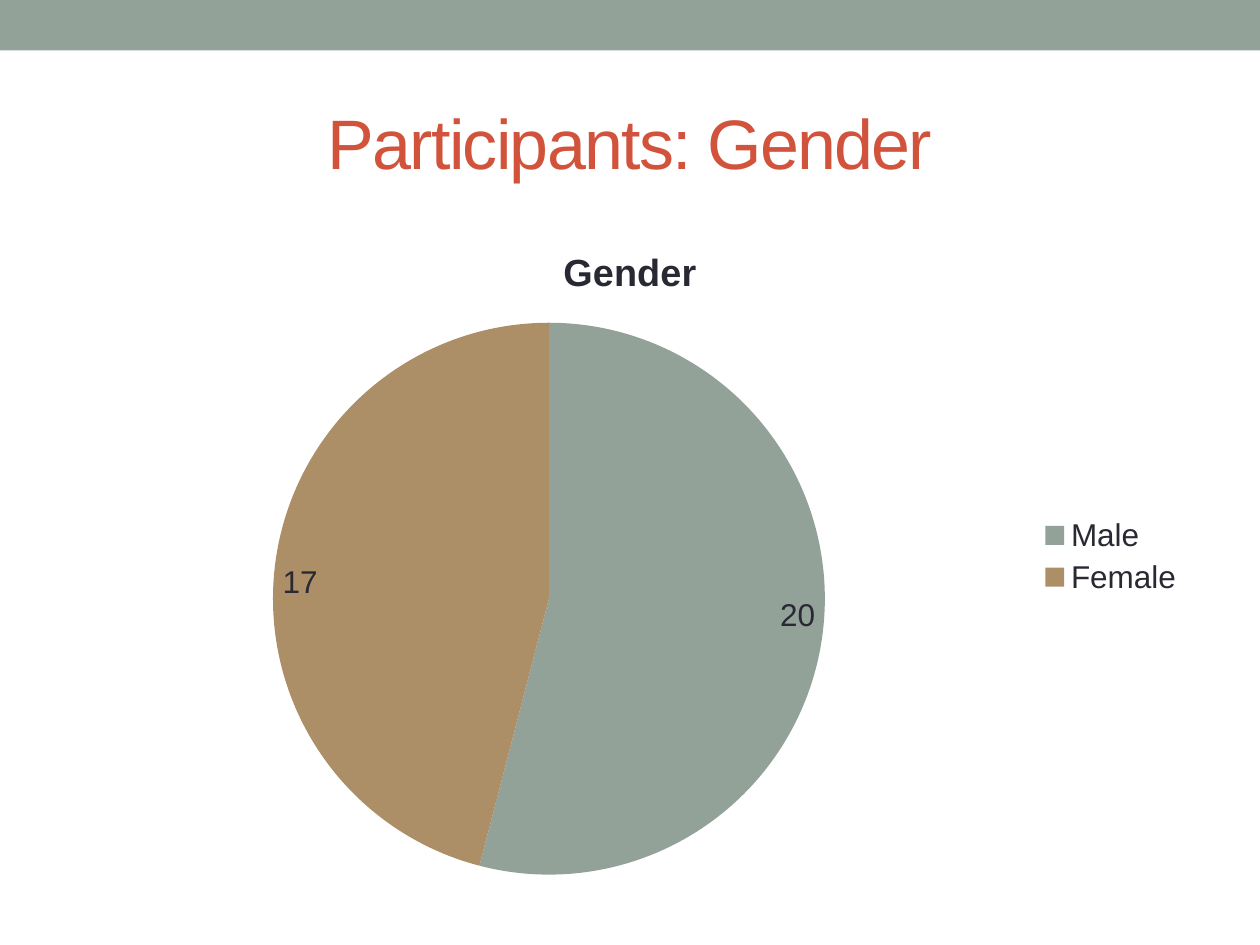
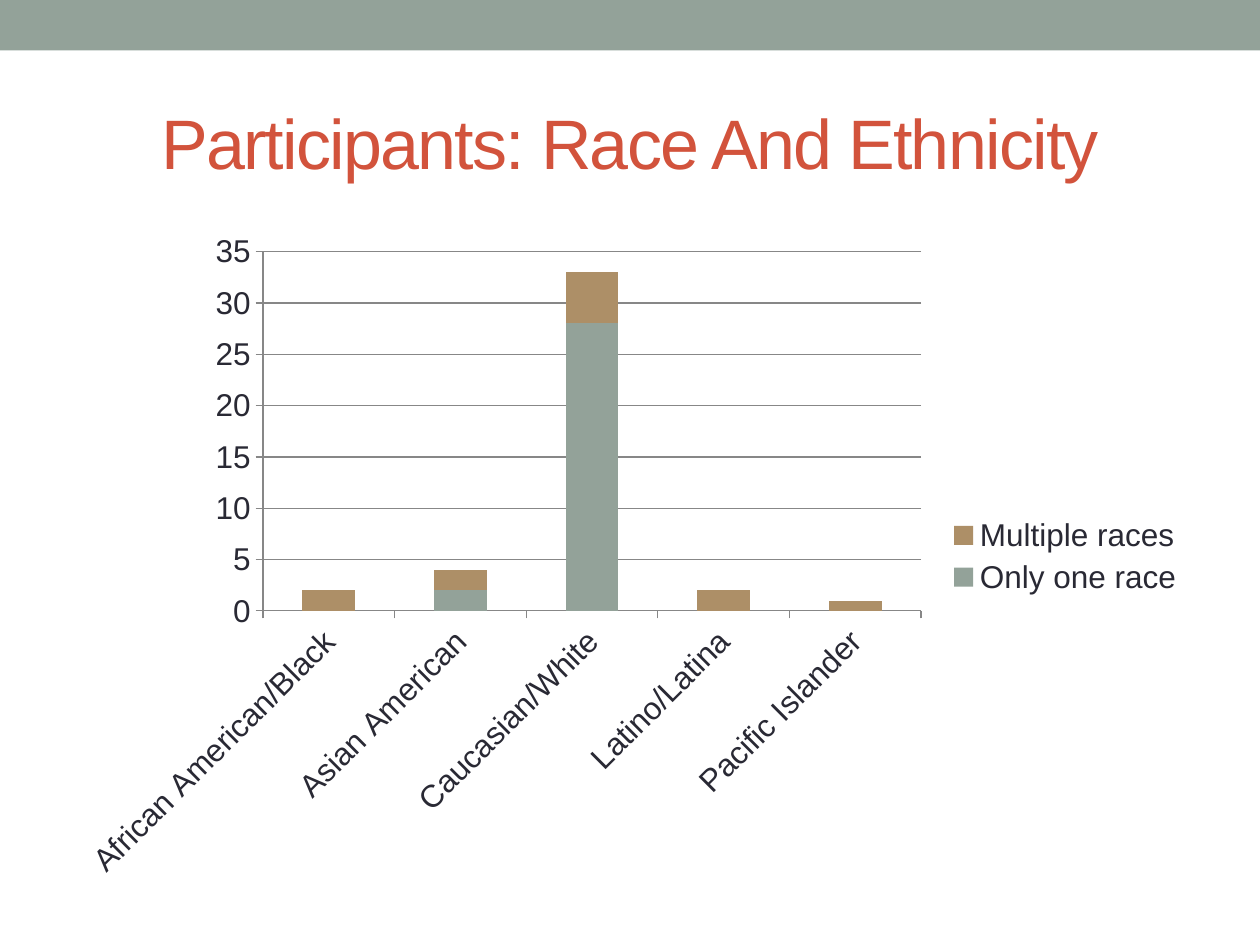
from dataclasses import dataclass

from pptx import Presentation
from pptx import util as u
from pptx.chart import data as chart_data
from pptx.chart.chart import Chart
from pptx.dml.color import RGBColor
from pptx.enum import chart as chart_enum
from pptx.enum import shapes, text
from pptx.slide import Slide

SAGE = "93A299"
TAN = "AD8F67"
RUST = "D2533C"
INK = "292934"
GRID = "878787"
FONT = "Arial"
MARGIN = 0.5
CONTENT_WIDTH = 9


@dataclass(frozen=True)
class Series:
    name: str
    values: tuple[int, ...]


@dataclass(frozen=True)
class ParticipantChart:
    heading: str
    kind: chart_enum.XL_CHART_TYPE
    categories: tuple[str, ...]
    series: tuple[Series, ...]


GENDER = ParticipantChart(
    "Participants: Gender",
    chart_enum.XL_CHART_TYPE.PIE,
    ("Male", "Female"),
    (Series("Gender", (20, 17)),),
)
ETHNICITY = ParticipantChart(
    "Participants: Race And Ethnicity",
    chart_enum.XL_CHART_TYPE.COLUMN_STACKED,
    ("African American/Black", "Asian American", "Caucasian/White",
     "Latino/Latina", "Pacific Islander"),
    (Series("Only one race", (0, 2, 28, 0, 0)),
     Series("Multiple races", (2, 2, 5, 2, 1))),
)


def rgb(value: str) -> RGBColor:
    return RGBColor.from_string(value)


def paint(element, color: str) -> None:
    element.format.fill.solid()
    element.format.fill.fore_color.rgb = rgb(color)


def style_font(font, size: float, color: str, bold: bool = False) -> None:
    font.name = FONT
    font.size = u.Pt(size)
    font.bold = bold
    font.color.rgb = rgb(color)


def add_band(slide: Slide) -> None:
    band = slide.shapes.add_shape(
        shapes.MSO_SHAPE.RECTANGLE, 0, 0, u.Inches(10), u.Inches(0.4))
    band.shadow.inherit = False
    band.fill.solid()
    band.fill.fore_color.rgb = rgb(SAGE)
    band.line.fill.background()


def add_heading(slide: Slide, wording: str) -> None:
    heading = slide.shapes.add_textbox(
        u.Inches(MARGIN), u.Inches(0.58), u.Inches(CONTENT_WIDTH), u.Inches(1.08))
    frame = heading.text_frame
    frame.word_wrap = True
    frame.vertical_anchor = text.MSO_ANCHOR.MIDDLE
    frame.text = wording
    line = frame.paragraphs[0]
    line.alignment = text.PP_ALIGN.CENTER
    style_font(line.runs[0].font, 40, RUST)
    line.runs[0].font._element.set("spc", "-100")


def add_participant_chart(slide: Slide, content: ParticipantChart) -> Chart:
    data = chart_data.CategoryChartData()
    data.categories = content.categories
    for series in content.series:
        data.add_series(series.name, series.values)
    chart = slide.shapes.add_chart(
        content.kind, u.Inches(MARGIN), u.Inches(1.75),
        u.Inches(CONTENT_WIDTH), u.Inches(5.33), data).chart
    style_font(chart.font, 18, INK)
    chart.has_title = False
    chart.has_legend = True
    chart.legend.position = chart_enum.XL_LEGEND_POSITION.RIGHT
    chart.legend.include_in_layout = False
    return chart


def add_chart_slide(deck, content: ParticipantChart) -> Chart:
    slide = deck.slides.add_slide(deck.slide_layouts[6])
    add_band(slide)
    add_heading(slide, content.heading)
    return add_participant_chart(slide, content)


def style_gender(chart: Chart) -> None:
    chart.has_title = True
    caption = chart.chart_title.text_frame
    caption.text = "Gender"
    style_font(caption.paragraphs[0].runs[0].font, 21.6, INK, bold=True)
    pie = chart.plots[0]
    pie.vary_by_categories = True
    for index, color in enumerate((SAGE, TAN)):
        paint(pie.series[0].points[index], color)
    pie.has_data_labels = True
    counts = pie.data_labels
    counts.show_value = True
    counts.show_percentage = False
    counts.position = chart_enum.XL_LABEL_POSITION.INSIDE_END
    style_font(counts.font, 18, INK)


def style_ethnicity(chart: Chart) -> None:
    columns = chart.plots[0]
    columns.vary_by_categories = False
    columns.gap_width = 150
    columns.overlap = 100
    for series, color in zip(columns.series, (SAGE, TAN)):
        paint(series, color)
    for axis in (chart.category_axis, chart.value_axis):
        axis.major_tick_mark = chart_enum.XL_TICK_MARK.OUTSIDE
        axis.minor_tick_mark = chart_enum.XL_TICK_MARK.NONE
        axis.format.line.color.rgb = rgb(GRID)
        axis.format.line.width = u.Pt(0.75)
        style_font(axis.tick_labels.font, 18, INK)
    chart.category_axis._element.txPr.bodyPr.set("rot", "-2700000")
    chart.value_axis.minimum_scale = 0
    chart.value_axis.maximum_scale = 35
    chart.value_axis.major_unit = 5
    chart.value_axis.has_major_gridlines = True
    gridline = chart.value_axis.major_gridlines.format.line
    gridline.color.rgb = rgb(GRID)
    gridline.width = u.Pt(0.75)


def main() -> None:
    deck = Presentation()
    deck.slide_width = u.Inches(10)
    deck.slide_height = u.Inches(7.5)
    style_gender(add_chart_slide(deck, GENDER))
    style_ethnicity(add_chart_slide(deck, ETHNICITY))
    deck.save("out.pptx")


if __name__ == "__main__":
    main()
